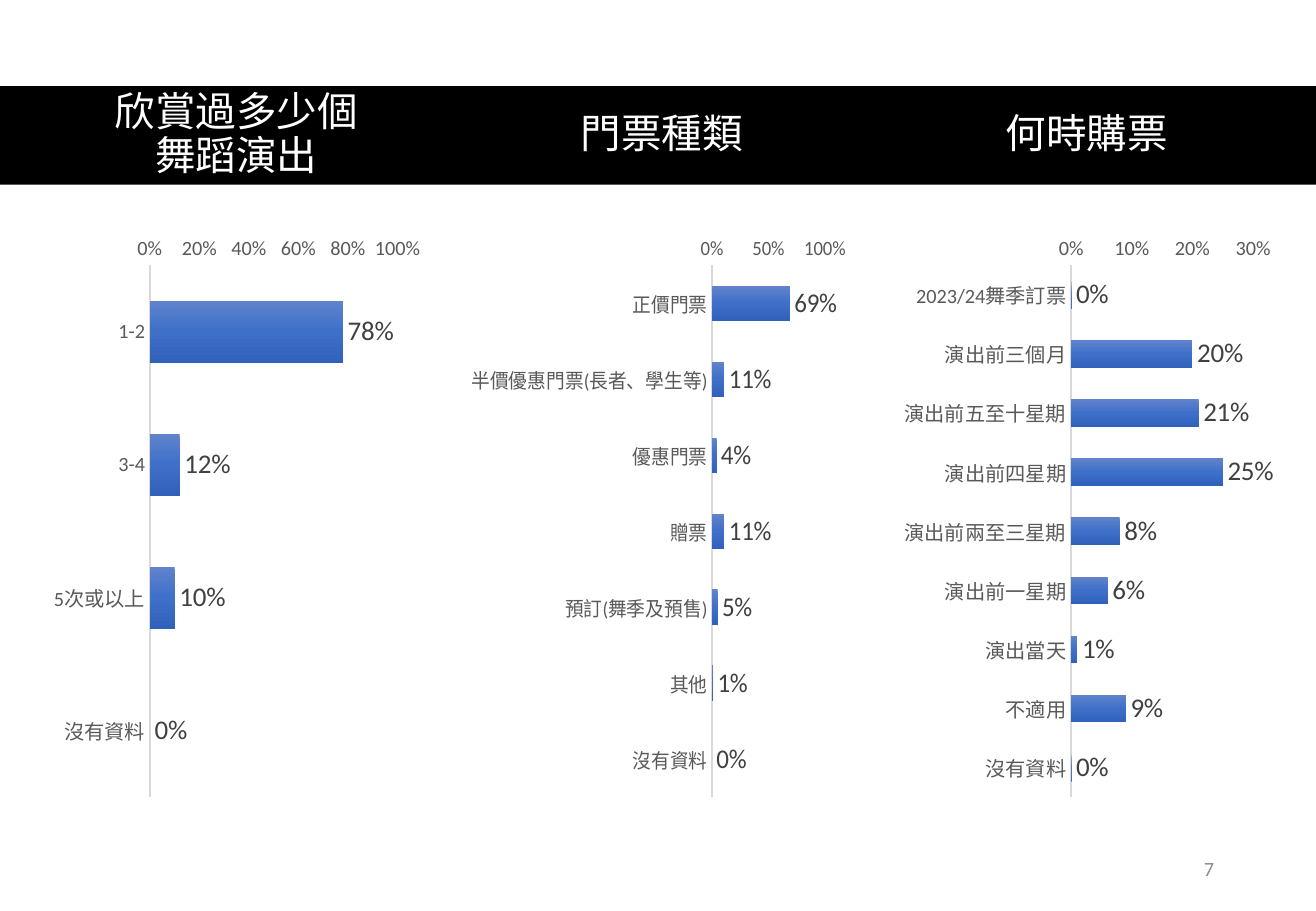
from pptx import Presentation
from pptx.chart.data import CategoryChartData
from pptx.dml.color import RGBColor
from pptx.enum.chart import XL_CHART_TYPE as ChartType, XL_LABEL_POSITION as LabelPos
from pptx.enum.chart import XL_TICK_MARK as TickMark
from pptx.enum.shapes import MSO_SHAPE as Shape
from pptx.enum.text import MSO_ANCHOR as Anchor, PP_ALIGN as Align
from pptx.oxml import parse_xml
from pptx.util import Inches, Pt

# Content: title, axis maximum, axis step, answers with their shares
PANELS = [
    ("欣賞過多少個舞蹈演出", 1, 0.2, [
        ("1-2", 0.78), ("3-4", 0.12), ("5次或以上", 0.1), ("沒有資料", 0)]),
    ("門票種類", 1, 0.5, [
        ("正價門票", 0.69), ("半價優惠門票(長者、學生等)", 0.11),
        ("優惠門票", 0.04), ("贈票", 0.11), ("預訂(舞季及預售)", 0.05),
        ("其他", 0.01), ("沒有資料", 0)]),
    ("何時購票", 0.3, 0.1, [
        ("2023/24舞季訂票", 0), ("演出前三個月", 0.2),
        ("演出前五至十星期", 0.21), ("演出前四星期", 0.25),
        ("演出前兩至三星期", 0.08), ("演出前一星期", 0.06),
        ("演出當天", 0.01), ("不適用", 0.09), ("沒有資料", 0)]),
]
PAGE_NUMBER = "7"

THEME = {
    "title_font": "Lato", "body_font": "Calibri",
    "title_size": 24, "label_size": 16, "axis_size": 12, "chart_size": 10,
    "band": "000000", "title": "FFFFFF", "chart": "000000", "axis": "595959",
    "label": "404040", "line": "D9D9D9", "number": "8C8C8C",
    "bar_stops": [(0, "6183CB"), (50, "3E70CA"), (100, "3062BB")],
}

# Layout in inches
WIDTH, HEIGHT = 10.83, 7.5
PITCH = 3.5
BAND_TOP, BAND_HEIGHT = 0.71, 0.81
TITLE_LEFT, TITLE_WIDTH = 0.69, 2.51
CHART_LEFT, CHART_TOP, CHART_WIDTH, CHART_HEIGHT = 0.38, 1.85, 3.14, 4.81


def style_font(font, name, size, color):
    font.name = name
    font.size = Pt(size)
    font.color.rgb = RGBColor.from_string(color)


def add_text(page, text, *, at, font, size, color, align, spacing=1.0):
    box = page.shapes.add_textbox(*map(Inches, at))
    frame = box.text_frame
    frame.word_wrap = True
    frame.vertical_anchor = Anchor.MIDDLE
    para = frame.paragraphs[0]
    para.alignment = align
    para.line_spacing = spacing
    span = para.add_run()
    span.text = text
    style_font(span.font, font, size, color)


def bar_gradient():
    stops = "".join(
        f'<a:gs pos="{place * 1000}"><a:srgbClr val="{color}"/></a:gs>'
        for place, color in THEME["bar_stops"])
    return parse_xml(
        '<a:gradFill xmlns:a="http://schemas.openxmlformats.org/drawingml/2006/main" '
        f'rotWithShape="1"><a:gsLst>{stops}</a:gsLst>'
        '<a:lin ang="5400000" scaled="0"/></a:gradFill>')


def add_bar_chart(page, answers, *, at, maximum, step):
    data = CategoryChartData(number_format="0%")
    data.categories = [name for name, share in answers]
    data.add_series("Series 1", [share for name, share in answers])
    chart = page.shapes.add_chart(
        ChartType.BAR_CLUSTERED, *map(Inches, at), data).chart
    chart.has_legend = False
    chart.has_title = False
    body = THEME["body_font"]
    style_font(chart.font, body, THEME["chart_size"], THEME["chart"])

    # Axes
    categories, values = chart.category_axis, chart.value_axis
    for axis in (categories, values):
        axis.major_tick_mark = axis.minor_tick_mark = TickMark.NONE
        axis.has_major_gridlines = False
        style_font(axis.tick_labels.font, body, THEME["axis_size"], THEME["axis"])
    categories.reverse_order = True
    categories.format.line.width = Pt(1)
    categories.format.line.color.rgb = RGBColor.from_string(THEME["line"])
    values.format.line.fill.background()
    values.minimum_scale, values.maximum_scale = 0, maximum
    values.major_unit = step
    values.tick_labels.number_format = "0%"
    values.tick_labels.number_format_is_linked = False

    # Bars and their labels
    plot = chart.plots[0]
    plot.gap_width, plot.overlap = 115, -20
    plot.vary_by_categories = False
    series = plot.series[0]
    series.invert_if_negative = False
    series._element.get_or_add_spPr().insert(0, bar_gradient())
    labels = series.data_labels
    labels.show_value = True
    labels.number_format = "0%"
    labels.number_format_is_linked = False
    labels.position = LabelPos.OUTSIDE_END
    style_font(labels.font, body, THEME["label_size"], THEME["label"])


def main():
    deck = Presentation()
    deck.slide_width, deck.slide_height = Inches(WIDTH), Inches(HEIGHT)
    page = deck.slides.add_slide(deck.slide_layouts[6])

    # Title band
    band = page.shapes.add_shape(
        Shape.RECTANGLE, 0, Inches(BAND_TOP), Inches(WIDTH), Inches(BAND_HEIGHT))
    band.shadow.inherit = False
    band.fill.solid()
    band.fill.fore_color.rgb = RGBColor.from_string(THEME["band"])
    band.line.fill.background()

    # One title and chart per column
    for column, (title, maximum, step, answers) in enumerate(PANELS):
        shift = column * PITCH
        add_text(page, title,
                 at=(TITLE_LEFT + shift, BAND_TOP, TITLE_WIDTH, BAND_HEIGHT),
                 font=THEME["title_font"], size=THEME["title_size"],
                 color=THEME["title"], align=Align.CENTER, spacing=0.9)
        add_bar_chart(page, answers,
                      at=(CHART_LEFT + shift, CHART_TOP, CHART_WIDTH, CHART_HEIGHT),
                      maximum=maximum, step=step)

    # Page number
    add_text(page, PAGE_NUMBER, at=(7.65, 6.95, 2.44, 0.4),
             font=THEME["body_font"], size=THEME["axis_size"],
             color=THEME["number"], align=Align.RIGHT)

    deck.save("out.pptx")


if __name__ == "__main__":
    main()
